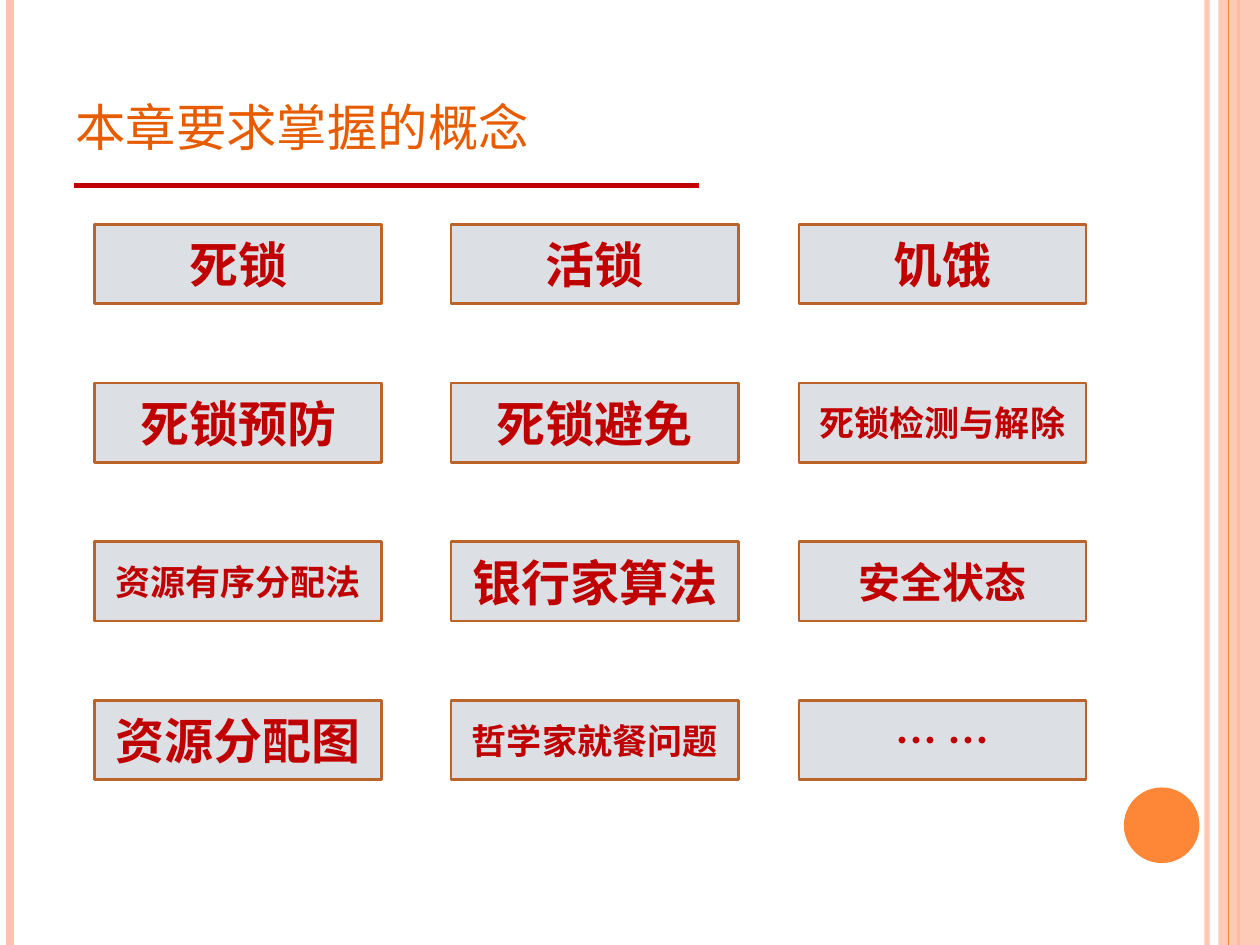
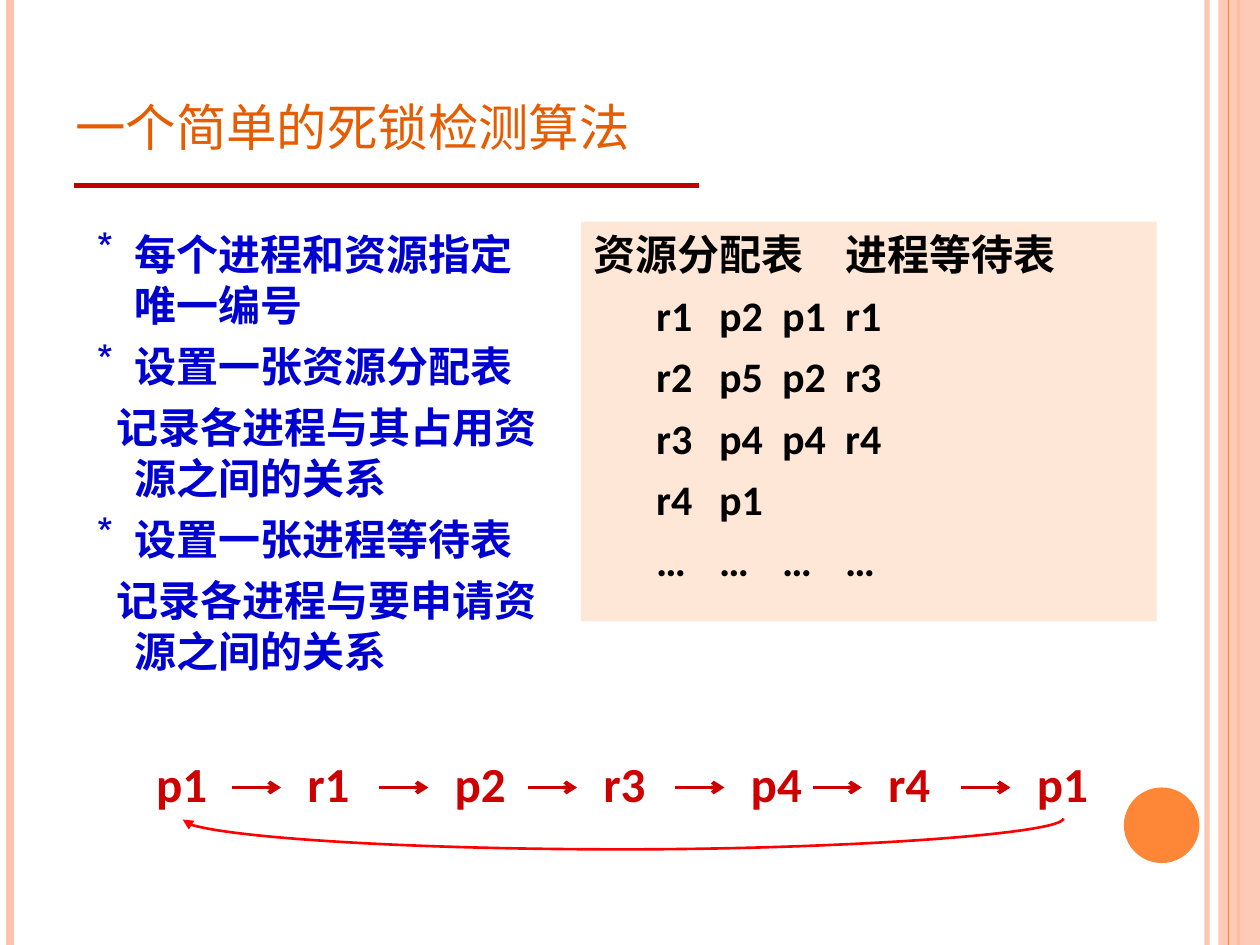
import dataclasses

import lxml.etree
import pptx
import pptx.dml.color
import pptx.enum.shapes
import pptx.enum.text
import pptx.oxml.ns
import pptx.util

Inches = pptx.util.Inches
Pt = pptx.util.Pt
qn = pptx.oxml.ns.qn
SHAPE = pptx.enum.shapes.MSO_SHAPE
CONNECTOR = pptx.enum.shapes.MSO_CONNECTOR
ANCHOR = pptx.enum.text.MSO_ANCHOR
ALIGN = pptx.enum.text.PP_ALIGN


@dataclasses.dataclass(frozen=True)
class Theme:
    chinese_font: str = "Noto Sans CJK SC"
    latin_font: str = "Calibri"
    title_color: str = "E75C01"
    rule_color: str = "C00000"
    accent: str = "FE8637"
    band: str = "FEC3AE"
    card_fill: str = "DCDFE3"
    card_line: str = "BC6329"
    panel_fill: str = "FFE7D7"
    body_color: str = "0000D0"
    panel_color: str = "000000"
    chain_color: str = "CC0000"
    return_color: str = "FF0000"
    title_size: int = 36
    large: int = 28
    medium: int = 24
    small: int = 20
    body_leading: int = 29


THEME = Theme()
SLIDE_WIDTH, SLIDE_HEIGHT = 10, 7.5

CONCEPTS = [
    [("死锁", THEME.large), ("活锁", THEME.large), ("饥饿", THEME.large)],
    [("死锁预防", THEME.large), ("死锁避免", THEME.large), ("死锁检测与解除", THEME.small)],
    [("资源有序分配法", THEME.small), ("银行家算法", THEME.large), ("安全状态", THEME.medium)],
    [("资源分配图", THEME.large), ("哲学家就餐问题", THEME.small), ("… …", THEME.medium)],
]

# Each step is (text, has a bullet)
STEPS = [
    ("每个进程和资源指定唯一编号", True),
    ("设置一张资源分配表", True),
    ("记录各进程与其占用资源之间的关系", False),
    ("设置一张进程等待表", True),
    ("记录各进程与要申请资源之间的关系", False),
]

HEADING_TABS = [2.19]
ENTRY_TABS = [0.37, 0.88, 2.44, 3.01]
ELLIPSIS_TABS = [0.37, 0.85, 1.84, 2.31]
TABLE_ROWS = [
    ("资源分配表\t进程等待表", HEADING_TABS),
    ("\tr1\tp2\tp1\tr1", ENTRY_TABS),
    ("\tr2\tp5\tp2\tr3", ENTRY_TABS),
    ("\tr3\tp4\tp4\tr4", ENTRY_TABS),
    ("\tr4\tp1", ENTRY_TABS),
    ("\t…\t…\t…\t…", ELLIPSIS_TABS),
]

# Each node is (label, distance from the left of the chain)
CHAIN = [("p1", 0), ("r1", 1.2), ("p2", 2.37), ("r3", 3.55),
         ("p4", 4.72), ("r4", 5.81), ("p1", 6.99)]


def rgb(color):
    return pptx.dml.color.RGBColor.from_string(color)


def add_child(parent, tag, **attributes):
    child = lxml.etree.SubElement(parent, qn(tag))
    for name, value in attributes.items():
        child.set(name, str(value))
    return child


def set_alpha(fill_owner, percent):
    """Make the solid colour found inside the element partly transparent."""
    color = next(fill_owner.iter(qn("a:srgbClr")))
    add_child(color, "a:alpha", val=percent * 1000)


def write_text(frame, text, size, color, font=THEME.chinese_font, bold=True,
               small_caps=False, align=ALIGN.LEFT, before=0, leading=None,
               left=0, indent=0, bullet=None, tabs=()):
    """Write one paragraph, using the empty first one when there is one."""
    paragraph = frame.paragraphs[-1]
    if paragraph.runs:
        paragraph = frame.add_paragraph()
    paragraph.alignment = align
    paragraph.space_before = Pt(before)
    if leading:
        paragraph.line_spacing = Pt(leading)
    properties = paragraph._p.get_or_add_pPr()
    properties.set("marL", str(Inches(left)))
    properties.set("indent", str(Inches(indent)))
    if bullet:
        add_child(properties, "a:buChar", char=bullet)
    else:
        add_child(properties, "a:buNone")
    if tabs:
        tab_list = add_child(properties, "a:tabLst")
        for position in tabs:
            add_child(tab_list, "a:tab", pos=Inches(position), algn="l")

    run = paragraph.add_run()
    run.text = text
    run.font.name = font
    run.font.size = Pt(size)
    run.font.bold = bold
    run.font.color.rgb = rgb(color)
    run_properties = run._r.get_or_add_rPr()
    add_child(run_properties, "a:ea", typeface=font)
    if small_caps:
        run_properties.set("cap", "small")


def add_text_box(slide, box, anchor=ANCHOR.TOP, wrap=True):
    frame = slide.shapes.add_textbox(*map(Inches, box)).text_frame
    frame.word_wrap = wrap
    frame.vertical_anchor = anchor
    return frame


def add_panel(slide, kind, box, fill, line=None, line_width=1.5):
    shape = slide.shapes.add_shape(kind, *map(Inches, box))
    shape.shadow.inherit = False
    shape.fill.solid()
    shape.fill.fore_color.rgb = rgb(fill)
    if line:
        shape.line.color.rgb = rgb(line)
        shape.line.width = Pt(line_width)
    else:
        shape.line.fill.background()
    return shape


def add_line(slide, start, end, color, width, kind=CONNECTOR.STRAIGHT, head=None):
    connector = slide.shapes.add_connector(kind, *map(Inches, (*start, *end)))
    connector.line.color.rgb = rgb(color)
    connector.line.width = Pt(width)
    properties = connector._element.spPr
    if head:
        add_child(properties.find(qn("a:ln")), "a:tailEnd", type=head)
    add_child(properties, "a:effectLst")
    return connector


def add_vertical_rule(slide, x, color, width):
    return add_line(slide, (x, 0), (x, SLIDE_HEIGHT), color, width)


def add_frame(slide):
    """Draw the side bands and the corner disc."""
    inner_rule = add_vertical_rule(slide, 9.58, THEME.band, 3)
    set_alpha(inner_rule._element.spPr, 93)
    add_vertical_rule(slide, 0.08, THEME.band, 4.5)
    add_vertical_rule(slide, 9.83, THEME.accent, 1.5)
    band = add_panel(slide, SHAPE.RECTANGLE, (9.67, 0, SLIDE_WIDTH - 9.67, SLIDE_HEIGHT),
                     THEME.band)
    set_alpha(band._element.spPr, 87)
    add_vertical_rule(slide, 9.75, THEME.accent, 0.75)
    add_panel(slide, SHAPE.OVAL, (8.92, 6.25, 0.6, 0.6), THEME.accent)


def add_titled_slide(presentation, title):
    slide = presentation.slides.add_slide(presentation.slide_layouts[6])
    add_frame(slide)
    add_line(slide, (0.59, 1.47), (5.55, 1.47), THEME.rule_color, 3)
    frame = add_text_box(slide, (0.5, 0.3, 8.17, 1.01), anchor=ANCHOR.BOTTOM)
    write_text(frame, title, THEME.title_size, THEME.title_color,
               bold=False, small_caps=True)
    return slide


def add_concept_grid(slide, left, top):
    column_offsets = (0, 2.83, 5.59)
    row_pitch = 1.26
    for row, concepts in enumerate(CONCEPTS):
        for offset, (concept, size) in zip(column_offsets, concepts):
            box = (left + offset, top + row * row_pitch, 2.28, 0.63)
            card = add_panel(slide, SHAPE.RECTANGLE, box, THEME.card_fill, THEME.card_line)
            card.text_frame.word_wrap = True
            card.text_frame.vertical_anchor = ANCHOR.MIDDLE
            write_text(card.text_frame, concept, size, THEME.rule_color, align=ALIGN.CENTER)


def add_steps(slide, box):
    frame = add_text_box(slide, box)
    for step, has_bullet in STEPS:
        write_text(frame, step, THEME.medium, THEME.body_color, before=6,
                   leading=THEME.body_leading, left=0.3,
                   indent=-0.3 if has_bullet else -0.14,
                   bullet="*" if has_bullet else None)


def add_allocation_panel(slide, box):
    frame = add_panel(slide, SHAPE.RECTANGLE, box, THEME.panel_fill).text_frame
    frame.word_wrap = True
    frame.vertical_anchor = ANCHOR.TOP
    for row, tabs in TABLE_ROWS:
        write_text(frame, row, THEME.medium, THEME.panel_color, font=THEME.latin_font,
                   before=6, leading=THEME.body_leading, tabs=tabs)


def add_return_curve(slide, left, right, y, depth):
    """Draw a sagging arrow from right to left, as a tall connector turned by 90 degrees."""
    thickness = 0.01
    center, half_span = (left + right) / 2, (right - left) / 2
    x = center - thickness / 2
    curve = add_line(slide, (x, y - half_span), (x + thickness, y + half_span),
                     THEME.return_color, 1.5, kind=CONNECTOR.CURVE, head="triangle")
    properties = curve._element.spPr
    properties.find(qn("a:xfrm")).set("rot", str(90 * 60000))
    adjustments = next(properties.iter(qn("a:avLst")))
    add_child(adjustments, "a:gd", name="adj1",
              fmla=f"val {round(depth / thickness * 100000)}")


def add_wait_chain(slide, left, top):
    arrow_y = top + 0.32
    for index, (label, offset) in enumerate(CHAIN):
        x = left + offset
        if index:
            add_line(slide, (x - 0.5, arrow_y), (x - 0.11, arrow_y),
                     THEME.chain_color, 2.25, head="arrow")
        frame = add_text_box(slide, (x, top, 0.61, 0.57), wrap=False)
        write_text(frame, label, THEME.large, THEME.chain_color, font=THEME.latin_font)
    add_return_curve(slide, left + 0.31, left + 7.3, top + 0.57, 0.25)


def build_concepts_slide(presentation):
    slide = add_titled_slide(presentation, "本章要求掌握的概念")
    add_concept_grid(slide, 0.75, 1.78)


def build_detection_slide(presentation):
    slide = add_titled_slide(presentation, "一个简单的死锁检测算法")
    add_steps(slide, (0.67, 1.76, 3.79, 3.72))
    add_allocation_panel(slide, (4.61, 1.76, 4.57, 3.17))
    add_wait_chain(slide, 1.14, 5.93)


def main():
    presentation = pptx.Presentation()
    presentation.slide_width = Inches(SLIDE_WIDTH)
    presentation.slide_height = Inches(SLIDE_HEIGHT)
    build_concepts_slide(presentation)
    build_detection_slide(presentation)
    presentation.save("out.pptx")


if __name__ == "__main__":
    main()
